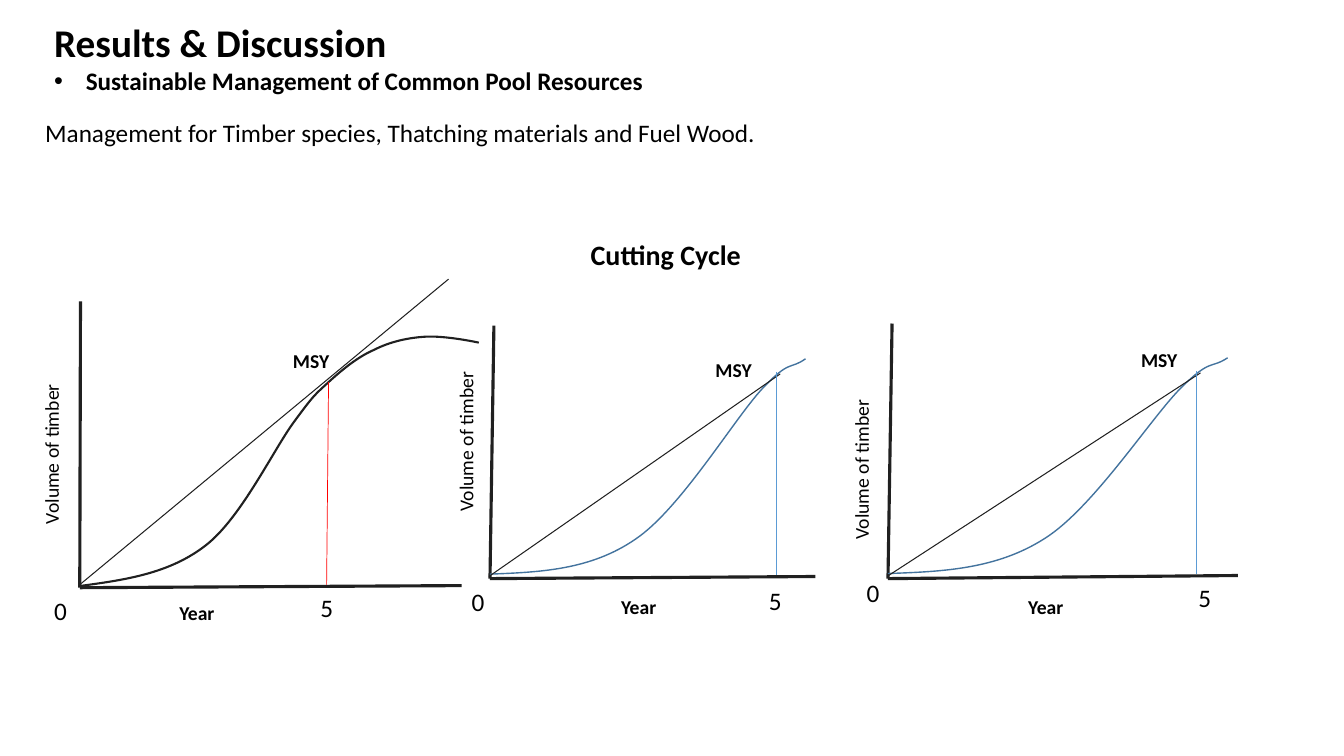
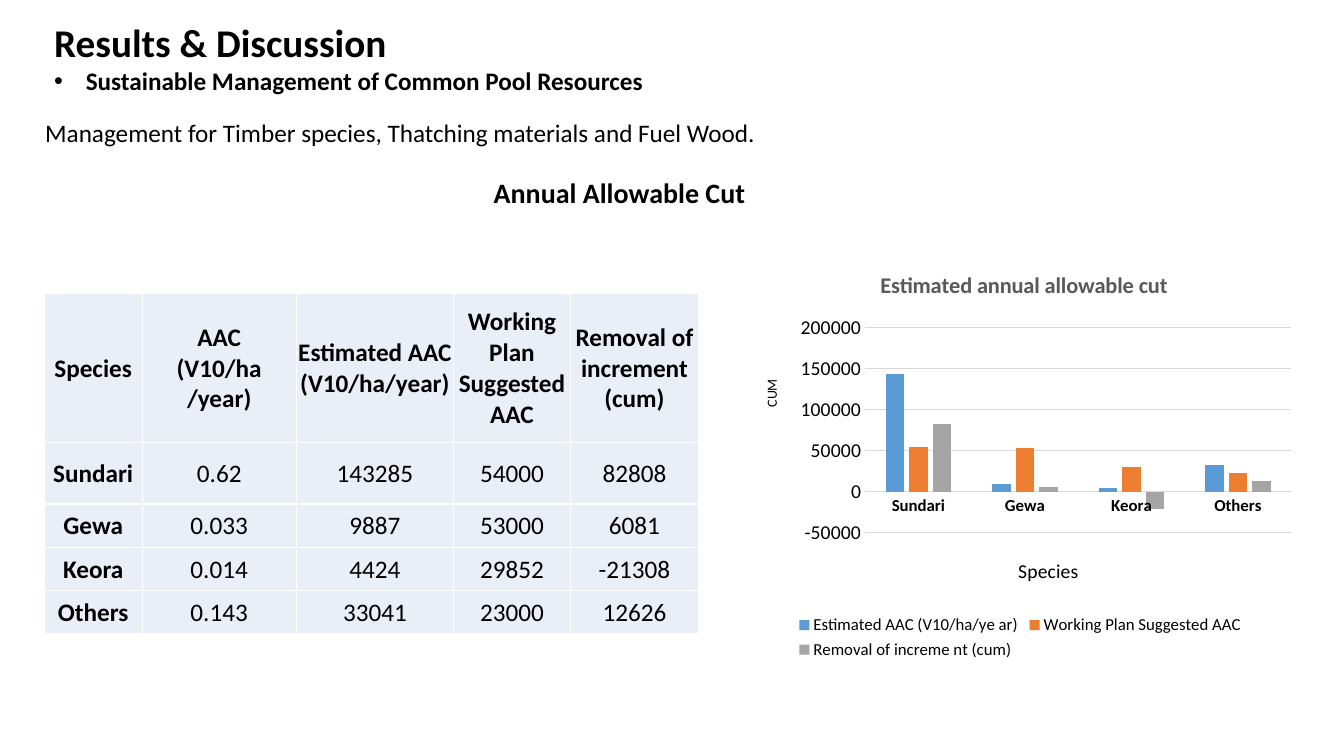
"""Build two slides on sustainable timber harvests: cutting cycle and annual allowable cut."""
import dataclasses

import lxml.etree
import pptx
import pptx.chart.data
import pptx.dml.color
import pptx.enum.chart
import pptx.enum.shapes
import pptx.enum.text
import pptx.oxml
import pptx.oxml.ns
import pptx.util

Pt = pptx.util.Pt
qn = pptx.oxml.ns.qn


@dataclasses.dataclass(frozen=True)
class Theme:
    font: str = "Calibri"
    black: str = "000000"
    white: str = "FFFFFF"
    ink: str = "202020"
    red: str = "FF0000"
    blue: str = "5B9BD5"
    curve_blue: str = "43739E"
    grid: str = "D9D9D9"
    chart_title: str = "595959"
    cell: str = "EAEFF7"
    series: tuple = ("5B9BD5", "ED7D31", "A5A5A5")
    title: int = 28
    heading: int = 20
    body: int = 18
    chart_heading: int = 16
    label: int = 14
    legend: int = 12
    small: int = 10


THEME = Theme()
TITLE = "Results & Discussion"
SUBTITLE = "Sustainable Management of Common Pool Resources"
TOPIC = "Management for Timber species, Thatching materials and Fuel Wood."

LONG_CURVE = [(0, 100), (11.1, 97.6), (22.3, 95.1), (31.4, 83.8), (40.3, 72.9), (48.6, 44.9),
              (53.7, 34), (58.7, 23.1), (59, 23.1), (62.3, 18.2), (65.6, 13.4), (69.6, 8.1),
              (73.7, 5.3), (77.7, 2), (82.3, 0.4), (86.6, 0), (91.1, -0.4), (97.7, 1.6), (100, 2.4)]
SHORT_CURVE = [(0, 100), (16, 99.1), (31.9, 98.1), (46.1, 83.8), (60.4, 69.7), (77.4, 27.9),
               (86.3, 13.9), (95.2, 0), (94.9, 5.3), (100, 0)]

PLOTS = [
    {"axis_top": (57.5, 215.3), "origin": (57, 419.8), "axis_end": (329.8, 418.3),
     "tangent": ((56.2, 418.3), (320.4, 199.4)), "harvest": ((234.7, 272.9), (233.3, 417.6)),
     "curve": LONG_CURVE, "curve_box": (57.5, 240.5, 284.5, 178),
     "curve_style": (THEME.ink, 1.5), "harvest_colour": THEME.red,
     "volume": (-38.5, 294.5, 150, 24), "Year": (121, 426), "MSY": (202.2, 245.8),
     "0": (31.7, 422), "5": (221.8, 419.8)},
    {"axis_top": (352.8, 232.6), "origin": (350, 413.3), "axis_end": (582.5, 411.8),
     "tangent": ((349.2, 411.8), (557.3, 267.1)), "harvest": ((554.4, 265.7), (554.4, 410.4)),
     "curve": SHORT_CURVE, "curve_box": (350, 256.3, 225.4, 153.8),
     "curve_style": (THEME.curve_blue, 1), "harvest_colour": THEME.blue,
     "volume": (244, 272, 177, 24), "Year": (436.6, 421.6), "MSY": (504, 252),
     "0": (329.8, 415.4), "5": (542.2, 414.7)},
    {"axis_top": (637.2, 231.1), "origin": (634.3, 413.3), "axis_end": (884.2, 411.1),
     "tangent": ((633.6, 411.8), (857.5, 266.4)), "harvest": ((854.6, 265), (854.6, 409.7)),
     "curve": SHORT_CURVE, "curve_box": (634.3, 255.6, 242.6, 154.1),
     "curve_style": (THEME.curve_blue, 1), "harvest_colour": THEME.blue,
     "volume": (526.5, 292, 177, 24), "Year": (727.4, 421.6), "MSY": (808, 244.8),
     "0": (612, 409), "5": (848.9, 412.6)},
]

TABLE = [
    ("Species", "AAC (V10/ha /year)", "Estimated AAC (V10/ha/year)",
     "Working Plan Suggested AAC", "Removal of increment (cum)"),
    ("Sundari", "0.62", "143285", "54000", "82808"),
    ("Gewa", "0.033", "9887", "53000", "6081"),
    ("Keora", "0.014", "4424", "29852", "-21308"),
    ("Others", "0.143", "33041", "23000", "12626"),
]
COLUMN_WIDTHS = (69.84, 110.16, 112.32, 83.52, 91.44)
ROW_HEIGHTS = (106.56, 43.92, 30.96, 30.96, 30.96)
CATEGORIES = ("Sundari", "Gewa", "Keora", "Others")
SERIES = [
    ("Estimated AAC (V10/ha/ye ar)", (143000, 10000, 4000, 33000)),
    ("Working Plan Suggested AAC", (54000, 53000, 30000, 23000)),
    ("Removal of increme nt (cum)", (83000, 6000, -21000, 13000)),
]


def rgb(colour):
    return pptx.dml.color.RGBColor.from_string(colour)


def style_font(font, size, bold=False, colour=THEME.black):
    font.name, font.size, font.bold = THEME.font, Pt(size), bold
    font.color.rgb = rgb(colour)


def add_span(para, text, size, bold=False, colour=THEME.black):
    span = para.add_run()
    span.text = text
    style_font(span.font, size, bold, colour)


def add_text(page, area, text, size, bold=False, centred=False):
    box = page.shapes.add_textbox(*map(Pt, area))
    frame = box.text_frame
    frame.word_wrap = True
    frame.auto_size = pptx.enum.text.MSO_AUTO_SIZE.SHAPE_TO_FIT_TEXT
    para = frame.paragraphs[0]
    if centred:
        para.alignment = pptx.enum.text.PP_ALIGN.CENTER
    add_span(para, text, size, bold)
    return box


def add_page(deck):
    page = deck.slides.add_slide(deck.slide_layouts[6])
    box = add_text(page, (31.7, 9.4, 664.6, 63.4), TITLE, THEME.title, bold=True)
    para = box.text_frame.add_paragraph()
    properties = para._p.get_or_add_pPr()
    properties.set("marL", str(Pt(22.5)))
    properties.set("indent", str(-Pt(22.5)))
    lxml.etree.SubElement(properties, qn("a:buFont")).set("typeface", "Arial")
    lxml.etree.SubElement(properties, qn("a:buChar")).set("char", "•")
    add_span(para, SUBTITLE, THEME.body, bold=True)
    add_text(page, (25.2, 80.6, 550.8, 28.8), TOPIC, THEME.body)
    return page


def add_line(page, start, end, colour, width):
    line = page.shapes.add_connector(
        pptx.enum.shapes.MSO_CONNECTOR.STRAIGHT, *map(Pt, (*start, *end)))
    line.line.color.rgb = rgb(colour)
    line.line.width = Pt(width)
    lxml.etree.SubElement(line._element.spPr, qn("a:effectLst"))


def bend_segments(shape):
    segments = list(shape._element.iter(qn("a:lnTo")))
    outline = segments[0].getparent()
    for first in range(0, len(segments), 3):
        bend = lxml.etree.SubElement(outline, qn("a:cubicBezTo"))
        for segment in segments[first:first + 3]:
            bend.append(segment[0])
            outline.remove(segment)


def add_curve(page, knots, area, colour, width):
    left, top, wide, high = area
    points = [(Pt(left + wide * x / 100), Pt(top + high * y / 100)) for x, y in knots]
    builder = page.shapes.build_freeform(*points[0])
    builder.add_line_segments(points[1:], close=False)
    curve = builder.convert_to_shape()
    bend_segments(curve)
    curve.shadow.inherit = False
    curve.fill.background()
    curve.line.color.rgb = rgb(colour)
    curve.line.width = Pt(width)


def add_plot(page, plot):
    for end in ("axis_top", "axis_end"):
        add_line(page, plot[end], plot["origin"], THEME.ink, 2.25)
    add_text(page, plot["volume"], "Volume of timber", THEME.label).rotation = 270
    add_curve(page, plot["curve"], plot["curve_box"], *plot["curve_style"])
    add_line(page, *plot["tangent"], THEME.ink, 0.75)
    add_line(page, *plot["harvest"], plot["harvest_colour"], 0.5)
    for text in ("Year", "MSY"):
        add_text(page, (*plot[text], 72, 24), text, THEME.label, bold=True)
    for text in ("0", "5"):
        add_text(page, (*plot[text], 36, 28.8), text, THEME.body)


def add_borders(cell):
    properties = cell._tc.get_or_add_tcPr()
    for side in ("lnL", "lnR", "lnT", "lnB"):
        edge = lxml.etree.SubElement(properties, qn("a:" + side), w=str(Pt(1)))
        fill = lxml.etree.SubElement(edge, qn("a:solidFill"))
        lxml.etree.SubElement(fill, qn("a:srgbClr"), val=THEME.white)


def add_cut_table(page):
    area = (31.7, 209.5, sum(COLUMN_WIDTHS), sum(ROW_HEIGHTS))
    table = page.shapes.add_table(len(TABLE), len(TABLE[0]), *map(Pt, area)).table
    table.first_row = table.horz_banding = False
    for column, width in zip(table.columns, COLUMN_WIDTHS):
        column.width = Pt(width)
    for row, height in zip(table.rows, ROW_HEIGHTS):
        row.height = Pt(height)
    for r, values in enumerate(TABLE):
        for c, text in enumerate(values):
            cell = table.cell(r, c)
            add_borders(cell)
            cell.fill.solid()
            cell.fill.fore_color.rgb = rgb(THEME.cell)
            cell.margin_left = cell.margin_right = cell.margin_top = Pt(0.72)
            cell.margin_bottom = 0
            cell.vertical_anchor = pptx.enum.text.MSO_ANCHOR.MIDDLE
            para = cell.text_frame.paragraphs[0]
            para.alignment = pptx.enum.text.PP_ALIGN.CENTER
            add_span(para, text, THEME.body, bold=r == 0 or c == 0)


def place(element, index, inner=False, **fractions):
    for old in element.findall(qn("c:layout")):
        element.remove(old)
    layout = lxml.etree.Element(qn("c:layout"))
    manual = lxml.etree.SubElement(layout, qn("c:manualLayout"))
    if inner:
        lxml.etree.SubElement(manual, qn("c:layoutTarget"), val="inner")
    for name in ("x", "y"):
        lxml.etree.SubElement(manual, qn(f"c:{name}Mode"), val="edge")
    for name, value in fractions.items():
        lxml.etree.SubElement(manual, qn("c:" + name), val=str(value))
    element.insert(index, layout)


def set_title(title, text, x, y, size, bold=False, colour=THEME.black):
    add_span(title.text_frame.paragraphs[0], text, size, bold, colour)
    place(title._element, 1, x=x, y=y)


def add_cut_chart(page):
    data = pptx.chart.data.CategoryChartData(number_format="General")
    data.categories = CATEGORIES
    for name, values in SERIES:
        data.add_series(name, values)
    chart = page.shapes.add_chart(
        pptx.enum.chart.XL_CHART_TYPE.COLUMN_CLUSTERED,
        *map(Pt, (535, 181.4, 395.3, 293)), data).chart
    style_font(chart.font, THEME.small)
    chart.has_title = True
    set_title(chart.chart_title, "Estimated annual allowable cut", 0.23, 0.03,
              THEME.chart_heading, True, THEME.chart_title)
    plot = chart.plots[0]
    plot.gap_width, plot.overlap, plot.vary_by_categories = 219, -27, False
    for series, colour in zip(plot.series, THEME.series):
        series.invert_if_negative = False
        series.format.fill.solid()
        series.format.fill.fore_color.rgb = rgb(colour)

    species, volume = chart.category_axis, chart.value_axis
    for axis in (species, volume):
        axis.major_tick_mark = axis.minor_tick_mark = pptx.enum.chart.XL_TICK_MARK.NONE
    style_font(species.tick_labels.font, THEME.legend, bold=True)
    style_font(volume.tick_labels.font, THEME.label)
    volume.minimum_scale, volume.maximum_scale, volume.major_unit = -50000, 200000, 50000
    volume.format.line.fill.background()
    for line in (species.format.line, volume.major_gridlines.format.line):
        line.color.rgb = rgb(THEME.grid)
        line.width = Pt(0.75)
    set_title(species.axis_title, "Species", 0.48, 0.73, THEME.label)
    set_title(volume.axis_title, "CUM", 0.02, 0.3, THEME.small)
    volume.axis_title.text_frame._txBody.bodyPr.set("rot", "-5400000")

    chart.has_legend = True
    chart.legend.position = pptx.enum.chart.XL_LEGEND_POSITION.BOTTOM
    chart.legend.include_in_layout = False
    style_font(chart.legend.font, THEME.legend)
    place(chart.legend._element, 1, x=0.08, y=0.87, w=0.82, h=0.13)
    place(chart._chartSpace.chart.plotArea, 0, inner=True, x=0.21, y=0.18, w=0.77, h=0.5)


def main():
    deck = pptx.Presentation()
    deck.slide_width, deck.slide_height = Pt(960), Pt(540)

    cycle_page = add_page(deck)
    for plot in PLOTS:
        add_plot(cycle_page, plot)
    add_text(cycle_page, (363.6, 166.3, 224, 31.7), "Cutting Cycle", THEME.heading, True, True)

    cut_page = add_page(deck)
    add_cut_chart(cut_page)
    add_cut_table(cut_page)
    add_text(cut_page, (345.6, 121.7, 306.7, 31.7), "Annual Allowable Cut", THEME.heading, True)
    deck.save("out.pptx")


if __name__ == "__main__":
    main()
